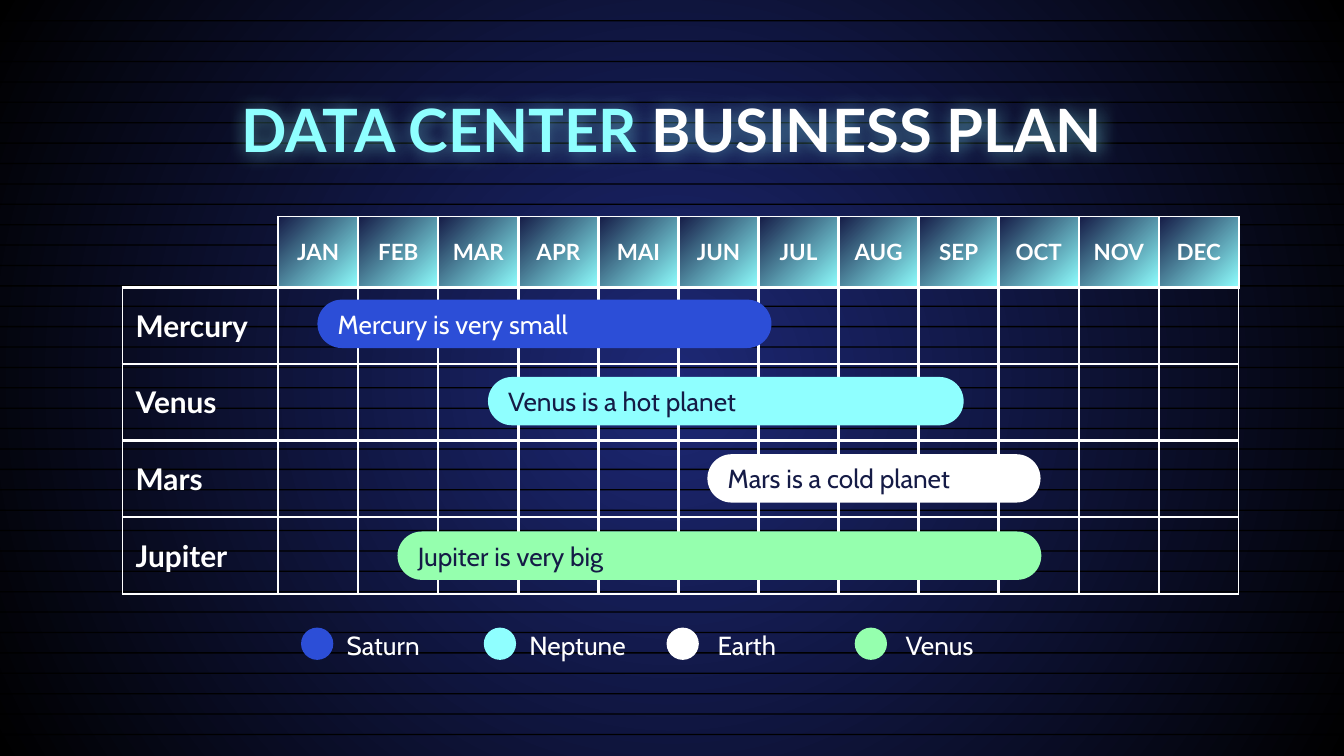
from pptx import Presentation, util as u
from pptx.dml.color import RGBColor
from pptx.enum import shapes, text
from pptx.oxml import parse_xml
from pptx.oxml.ns import nsdecls

# Content
COLORS = {"white": "FFFFFF", "black": "000000", "navy": "151B46", "glow": "1D2875",
          "blue": "2C4ED7", "cyan": "8FFFFF", "green": "95FFAE"}
TITLE = [("DATA CENTER ", "cyan"), ("BUSINESS PLAN", "white")]
MONTHS = "JAN FEB MAR APR MAI JUN JUL AUG SEP OCT NOV DEC".split()
# Task, bar text, first month, length in months, bar colour, text colour
TASKS = [
    ("Mercury", "Mercury is very small", 0.49, 5.67, "blue", "white"),
    ("Venus", "Venus is a hot planet", 2.62, 5.94, "cyan", "navy"),
    ("Mars", "Mars is a cold planet", 5.36, 4.16, "white", "navy"),
    ("Jupiter", "Jupiter is very big", 1.49, 8.04, "green", "navy"),
]
# Label, dot left, label left, dot colour
LEGEND = [("Saturn", 2.24, 2.48, "blue"), ("Neptune", 3.6, 3.84, "cyan"),
          ("Earth", 4.96, 5.24, "white"), ("Venus", 6.36, 6.64, "green")]

# Grid, in inches
WIDTH, HEIGHT = 10, 10 * 9 / 16
LEFT, TOP, LABEL_W, HEAD_H, ROW_H = 0.91, 1.61, 1.16, 0.53, 0.57
MONTH_W = 7.15 / len(MONTHS)
BAR_H, BAR_GAP, BAR_PITCH = 0.36, 0.09, 5.75 / 10
LINES, LINE_TOP, LINE_PITCH = 36, 0.15, 5.31 / 35
PAD = 0.1


def rgb(name):
    return RGBColor.from_string(COLORS[name])


def set_gradient(fill, start, end):
    fill.gradient()
    for stop, name in zip(fill.gradient_stops, (start, end)):
        stop.color.rgb = rgb(name)


def format_run(r, size, font, color, bold=False):
    r.font.size, r.font.name, r.font.bold = u.Pt(size), font, bold
    r.font.color.rgb = rgb(color)


def set_padding(holder, anchor, right=PAD):
    """Works on a text frame and on a table cell."""
    holder.vertical_anchor = anchor
    holder.margin_left = holder.margin_top = holder.margin_bottom = u.Inches(PAD)
    holder.margin_right = u.Inches(right)


def add_box(s, x, y, w, h):
    sp = s.shapes.add_textbox(*map(u.Inches, (x, y, w, h)))
    sp.text_frame.word_wrap = True
    return sp


def add_filled(s, kind, x, y, w, h, color):
    sp = s.shapes.add_shape(kind, *map(u.Inches, (x, y, w, h)))
    sp.shadow.inherit = False
    sp.fill.solid()
    sp.fill.fore_color.rgb = rgb(color)
    sp.line.fill.background()
    return sp


def set_borders(cell, widths):
    """Widths in points for left, right, top and bottom; 0 draws none."""
    for i, (side, pt) in enumerate(zip("LRTB", widths)):
        paint = f'<a:solidFill><a:srgbClr val="{COLORS["white"]}"/></a:solidFill>' if pt else "<a:noFill/>"
        cell._tc.get_or_add_tcPr().insert(i, parse_xml(
            f'<a:ln{side} {nsdecls("a")} w="{u.Pt(pt)}">{paint}</a:ln{side}>'))


def add_background(s):
    set_gradient(s.background.fill, "glow", "black")
    lin = s.element.xpath(".//a:lin")[0]
    lin.getparent().replace(lin, parse_xml(
        f'<a:path {nsdecls("a")} path="circle">'
        '<a:fillToRect l="50000" t="50000" r="50000" b="50000"/></a:path>'))
    for i in range(LINES):
        add_filled(s, shapes.MSO_SHAPE.RECTANGLE, 0, LINE_TOP + i * LINE_PITCH, WIDTH, 0.01, "black")


def add_title(s):
    sp = add_box(s, 0.78, 0.59, 8.44, 0.62)
    set_padding(sp.text_frame, text.MSO_ANCHOR.TOP)
    p = sp.text_frame.paragraphs[0]
    p.alignment = text.PP_ALIGN.CENTER
    for words, color in TITLE:
        r = p.add_run()
        r.text = words
        format_run(r, 32, "Lato", color, True)
    # Soft cyan glow around the letters
    sp._element.spPr.append(parse_xml(
        f'<a:effectLst {nsdecls("a")}><a:outerShdw blurRad="130000" dist="0" rotWithShape="0">'
        f'<a:srgbClr val="{COLORS["cyan"]}"><a:alpha val="50000"/></a:srgbClr>'
        '</a:outerShdw></a:effectLst>'))


def add_calendar(s):
    rows, cols = len(TASKS) + 1, len(MONTHS) + 1
    size = (LABEL_W + MONTH_W * len(MONTHS), HEAD_H + ROW_H * len(TASKS))
    table = s.shapes.add_table(rows, cols, *map(u.Inches, (LEFT, TOP, *size))).table
    table.first_row = table.horz_banding = False
    for j, col in enumerate(table.columns):
        col.width = u.Inches(MONTH_W if j else LABEL_W)
    for i, row in enumerate(table.rows):
        row.height = u.Inches(ROW_H if i else HEAD_H)
        for j, cell in enumerate(row.cells):
            header, label = i == 0 and j > 0, j == 0 and i > 0
            if header:
                set_gradient(cell.fill, "navy", "cyan")
                cell.fill.gradient_angle = 315
            else:
                cell.fill.background()
            if header or label:
                set_padding(cell, text.MSO_ANCHOR.MIDDLE)
                cell.text_frame.text = MONTHS[j - 1] if header else TASKS[i - 1][0]
                p = cell.text_frame.paragraphs[0]
                p.alignment = text.PP_ALIGN.CENTER if header else text.PP_ALIGN.LEFT
                format_run(p.runs[0], 12 if header else 16, "Lato", "white", True)
            left = 1.5 if j else 0.75 if i else 0
            right = 0.75 if i and j == cols - 1 else 1.5
            top = 1.5 if i else 0.75 if j else 0
            set_borders(cell, (left, right, top, 1.5))


def add_bars(s):
    for i, (_, words, start, span, color, ink) in enumerate(TASKS):
        sp = add_filled(s, shapes.MSO_SHAPE.ROUNDED_RECTANGLE,
                        LEFT + LABEL_W + start * MONTH_W, TOP + HEAD_H + BAR_GAP + i * BAR_PITCH,
                        span * MONTH_W, BAR_H, color)
        sp.adjustments[0] = 0.5
        set_padding(sp.text_frame, text.MSO_ANCHOR.MIDDLE)
        sp.text_frame.text = words
        p = sp.text_frame.paragraphs[0]
        p.alignment = text.PP_ALIGN.LEFT
        format_run(p.runs[0], 14, "Cabin", ink)


def add_legend(s):
    for words, dot_x, label_x, color in LEGEND:
        add_filled(s, shapes.MSO_SHAPE.OVAL, dot_x, 4.67, 0.24, 0.24, color)
        tf = add_box(s, label_x, 4.62, 1.12, 0.33).text_frame
        set_padding(tf, text.MSO_ANCHOR.MIDDLE, right=0)
        tf.text = words
        tf.paragraphs[0].line_spacing = 1.15
        format_run(tf.paragraphs[0].runs[0], 14, "Cabin", "white")


def main():
    prs = Presentation()
    prs.slide_width, prs.slide_height = u.Inches(WIDTH), u.Inches(HEIGHT)
    s = prs.slides.add_slide(prs.slide_layouts[6])
    for add_part in (add_background, add_title, add_calendar, add_bars, add_legend):
        add_part(s)
    prs.save("out.pptx")


if __name__ == "__main__":
    main()
